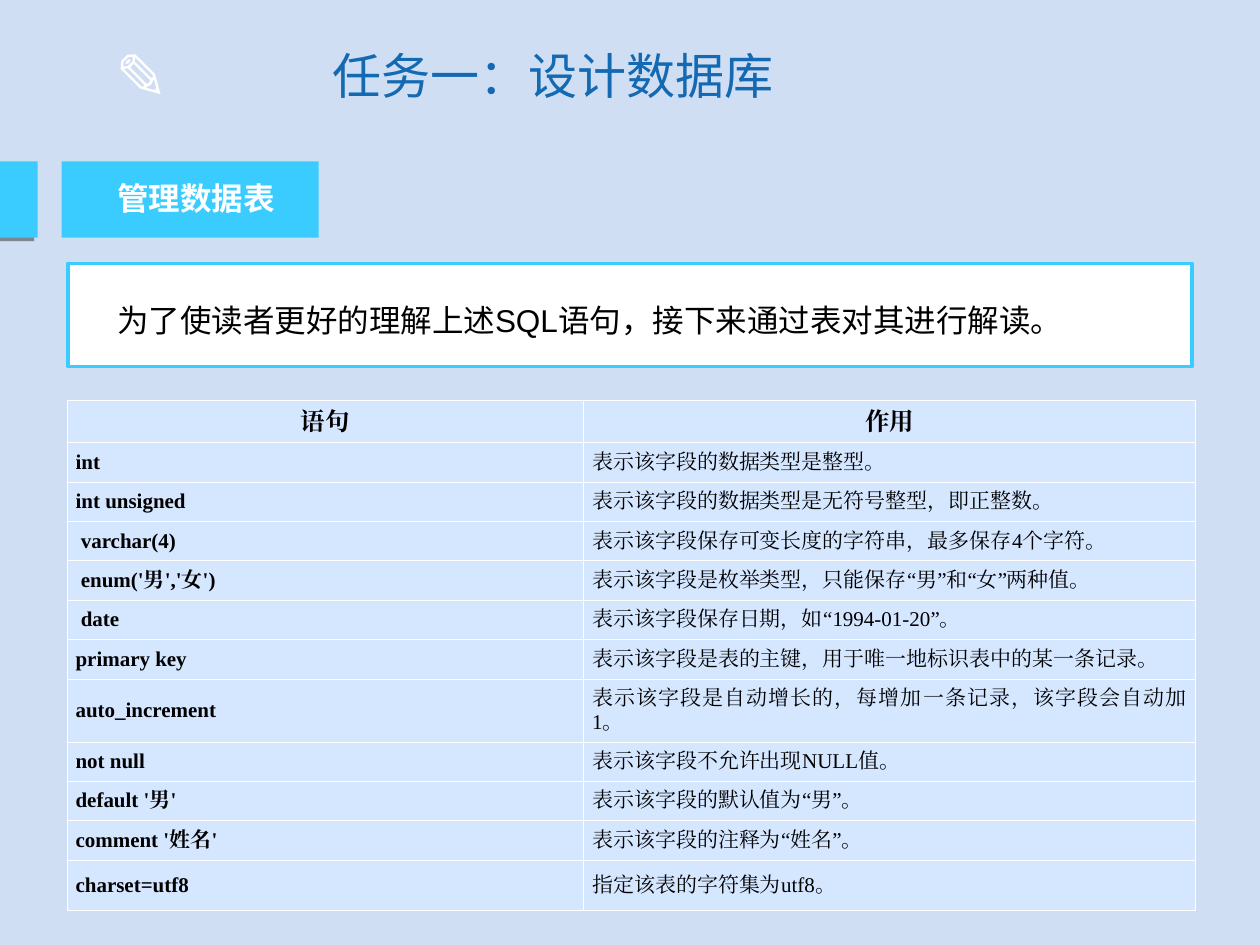
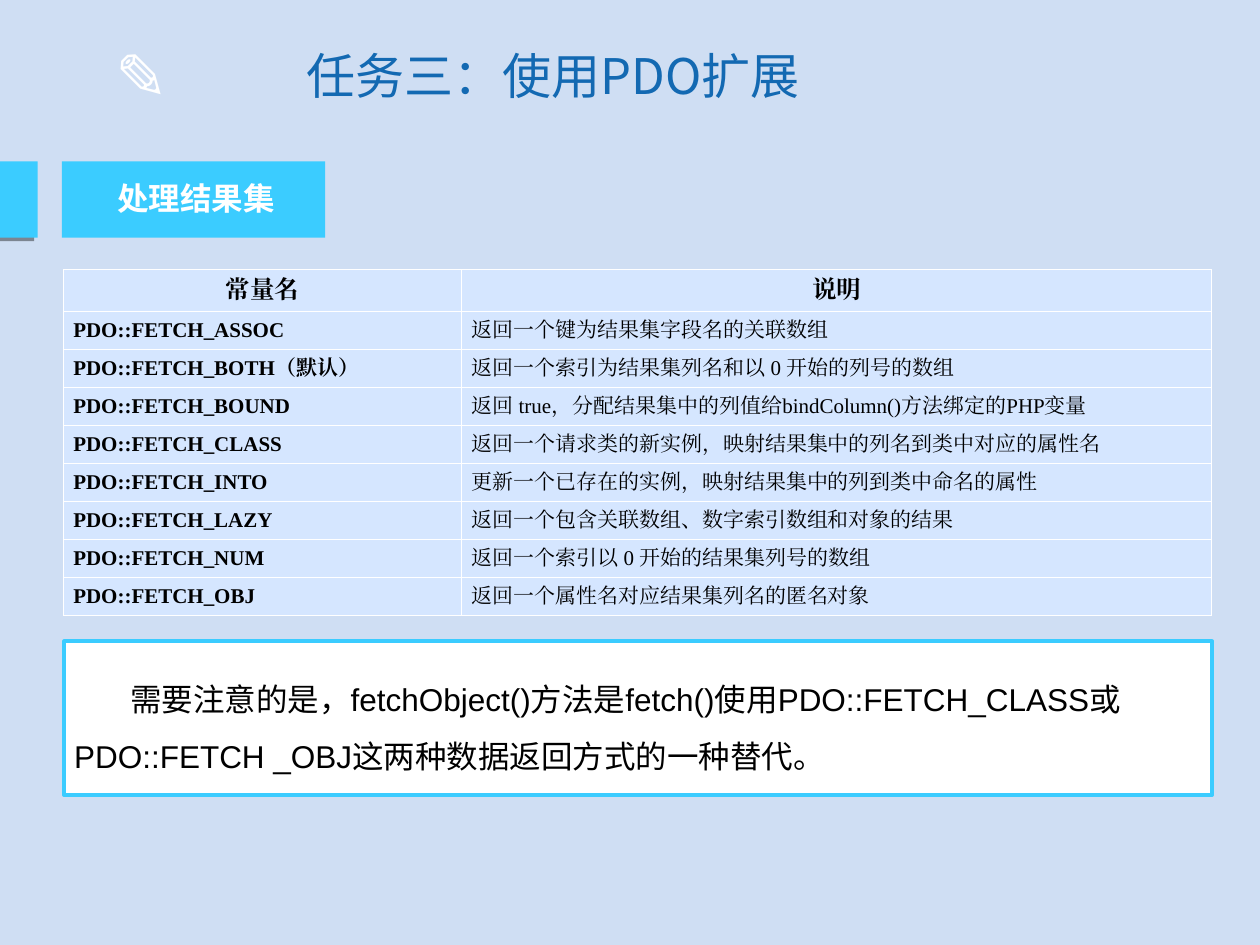
from lxml import etree
from pptx import Presentation
from pptx.dml.color import RGBColor
from pptx.enum.lang import MSO_LANGUAGE_ID
from pptx.enum.shapes import MSO_SHAPE
from pptx.enum.text import MSO_ANCHOR, PP_ALIGN
from pptx.oxml import parse_xml
from pptx.oxml.ns import nsdecls, qn
from pptx.util import Pt

RECT = MSO_SHAPE.RECTANGLE
MID = MSO_ANCHOR.MIDDLE
LEFT, CENTER, JUST = PP_ALIGN.LEFT, PP_ALIGN.CENTER, PP_ALIGN.JUSTIFY
CHINESE = MSO_LANGUAGE_ID.SIMPLIFIED_CHINESE
SANS, SERIF, HAN = "Arial", "Times New Roman", "Noto Sans CJK SC"
COLORS = {"back": "CFDEF3", "cyan": "3BCCFF", "title": "1369B2",
          "cell": "D5E6FF", "white": "FFFFFF", "black": "000000"}

SLIDES = [
    {
        "title": "任务一：设计数据库",
        "tag": "管理数据表", "tag_width": 146.9,
        "frame": (38.9, 150.5, 642.2, 59), "line": 2,
        "note": "为了使读者更好的理解上述SQL语句，接下来通过表对其进行解读。",
        "note_box": (59.8, 157.7, 585.4, 39.6), "indent": 0,
        "table": (38.2, 229), "cols": (295.2, 349.9),
        "row": 22.5, "last": 28.8, "inset": 5, "align": JUST,
        "rows": [
            ("语句", "作用"),
            ("int", "表示该字段的数据类型是整型。"),
            ("int unsigned", "表示该字段的数据类型是无符号整型，即正整数。"),
            (" varchar(4)", "表示该字段保存可变长度的字符串，最多保存4个字符。"),
            (" enum('男','女')", "表示该字段是枚举类型，只能保存“男”和“女”两种值。"),
            (" date", "表示该字段保存日期，如“1994-01-20”。"),
            ("primary key", "表示该字段是表的主键，用于唯一地标识表中的某一条记录。"),
            ("auto_increment", "表示该字段是自动增长的，每增加一条记录，该字段会自动加1。"),
            ("not null", "表示该字段不允许出现NULL值。"),
            ("default '男'", "表示该字段的默认值为“男”。"),
            ("comment '姓名'", "表示该字段的注释为“姓名”。"),
            ("charset=utf8", "指定该表的字符集为utf8。"),
        ],
    },
    {
        "title": "任务三：使用PDO扩展",
        "tag": "处理结果集", "tag_width": 150.5,
        "frame": (36.7, 366.5, 655.9, 87.8), "line": 2.25,
        "note": "需要注意的是，fetchObject()方法是fetch()使用PDO::FETCH_CLASS或"
                "PDO::FETCH _OBJ这两种数据返回方式的一种替代。",
        "note_box": (35.3, 374.4, 655.9, 72), "indent": 32,
        "table": (36.4, 153.8), "cols": (227.5, 428.4),
        "row": 21.72, "last": 21.72, "inset": 5.5, "align": LEFT,
        "rows": [
            ("常量名", "说明"),
            ("PDO::FETCH_ASSOC", "返回一个键为结果集字段名的关联数组"),
            ("PDO::FETCH_BOTH（默认）", "返回一个索引为结果集列名和以 0 开始的列号的数组"),
            ("PDO::FETCH_BOUND", "返回 true，分配结果集中的列值给bindColumn()方法绑定的PHP变量"),
            ("PDO::FETCH_CLASS", "返回一个请求类的新实例，映射结果集中的列名到类中对应的属性名"),
            ("PDO::FETCH_INTO", "更新一个已存在的实例，映射结果集中的列到类中命名的属性"),
            ("PDO::FETCH_LAZY", "返回一个包含关联数组、数字索引数组和对象的结果"),
            ("PDO::FETCH_NUM", "返回一个索引以 0 开始的结果集列号的数组"),
            ("PDO::FETCH_OBJ", "返回一个属性名对应结果集列名的匿名对象"),
        ],
    },
]


def tint(name):
    return RGBColor.from_string(COLORS[name])


def write(frame, text, size, face, color, bold=False, align=LEFT):
    para = frame.paragraphs[0]
    para.alignment = align
    run = para.add_run()
    run.text = text
    font = run.font
    font.size, font.name, font.bold = Pt(size), face, bold
    font.color.rgb = tint(color)
    font.language_id = CHINESE
    east = etree.SubElement(run._r.rPr, qn("a:ea"))
    east.set("typeface", face)
    return para


def add_text(slide, box, *style):
    frame = slide.shapes.add_textbox(*map(Pt, box)).text_frame
    frame.word_wrap = True
    return write(frame, *style)


def add_rect(slide, box, fill, line=0):
    rect = slide.shapes.add_shape(RECT, *map(Pt, box))
    rect.shadow.inherit = False
    rect.fill.solid()
    rect.fill.fore_color.rgb = tint(fill)
    if line:
        rect.line.color.rgb = tint("cyan")
        rect.line.width = Pt(line)
    else:
        rect.line.fill.background()
    return rect


def cast_shadow(shape):
    shade = parse_xml(
        f'<a:outerShdw {nsdecls("a")} blurRad="0" dist="{Pt(3)}" dir="8100000" '
        'algn="tr" rotWithShape="0">'
        f'<a:srgbClr val="{COLORS["black"]}"><a:alpha val="40000"/></a:srgbClr>'
        '</a:outerShdw>')
    shape._element.spPr.find(qn("a:effectLst")).append(shade)


def add_edges(cell):
    props = cell._tc.get_or_add_tcPr()
    for spot, side in enumerate(("lnL", "lnR", "lnT", "lnB")):
        props.insert(spot, parse_xml(
            f'<a:{side} {nsdecls("a")} w="{Pt(0.45)}"><a:solidFill>'
            f'<a:srgbClr val="{COLORS["white"]}"/></a:solidFill></a:{side}>'))


def add_grid(slide, data):
    rows, cols = data["rows"], data["cols"]
    highs = [data["row"]] * (len(rows) - 1) + [data["last"]]
    box = (*data["table"], sum(cols), sum(highs))
    table = slide.shapes.add_table(len(rows), len(cols), *map(Pt, box)).table
    for col, width in zip(table.columns, cols):
        col.width = Pt(width)
    for i, (row, high) in enumerate(zip(table.rows, highs)):
        row.height = Pt(high)
        for j, cell in enumerate(row.cells):
            cell.fill.solid()
            cell.fill.fore_color.rgb = tint("cell")
            cell.vertical_anchor = MID
            cell.margin_left = cell.margin_right = Pt(data["inset"])
            add_edges(cell)
            head = i == 0
            align = CENTER if head else data["align"] if j else LEFT
            write(cell.text_frame, rows[i][j], 14 if head else 12, SERIF,
                  "black", head or j == 0, align)


def add_title(slide, text):
    title = slide.shapes.title
    title.left, title.top, title.width, title.height = map(
        Pt, (130.3, 12.2, 371.5, 61.2))
    title.text_frame.vertical_anchor = MID
    write(title.text_frame, text, 28, HAN, "title", False, CENTER)


def build(deck, data):
    slide = deck.slides.add_slide(deck.slide_layouts[5])
    add_title(slide, data["title"])
    add_text(slide, (59, 17.3, 52.6, 50.4), "✎", 36, HAN, "white", True)
    add_rect(slide, data["frame"], "white", data["line"])
    cast_shadow(add_rect(slide, (-2.9, 92.2, 24.5, 43.6), "cyan"))
    add_rect(slide, (35.3, 92.2, data["tag_width"], 43.6), "cyan")
    add_text(slide, (60, 98.6, 119.5, 28.8), data["tag"], 18, SANS, "white", True)
    add_grid(slide, data)
    note = add_text(slide, data["note_box"], data["note"], 18, SANS, "black")
    note.line_spacing = 1.5
    note._p.get_or_add_pPr().set("indent", str(Pt(data["indent"])))


def main():
    deck = Presentation()
    deck.slide_width, deck.slide_height = Pt(720), Pt(540)
    back = deck.slide_master.background.fill
    back.solid()
    back.fore_color.rgb = tint("back")
    for data in SLIDES:
        build(deck, data)
    deck.save("out.pptx")


if __name__ == "__main__":
    main()
